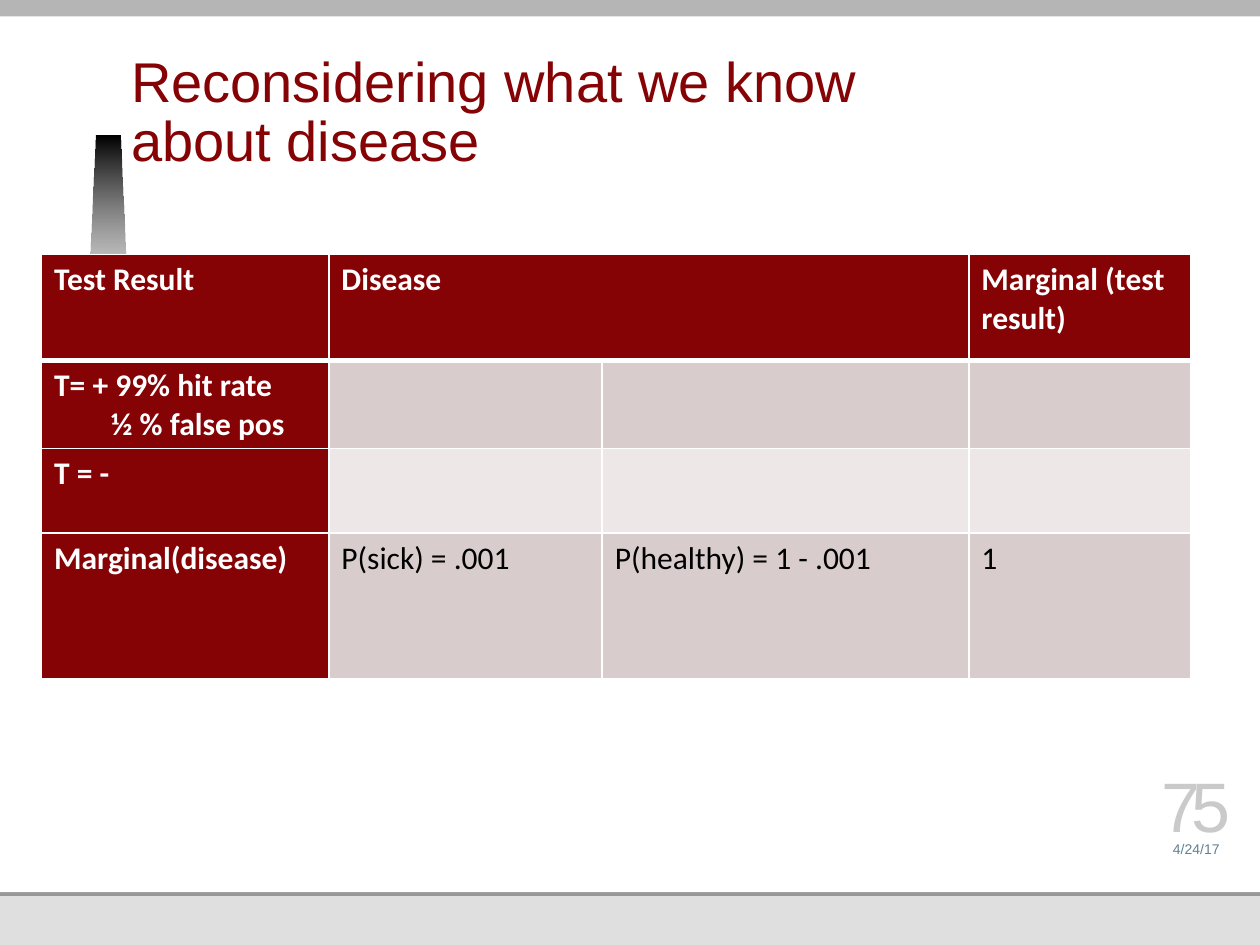
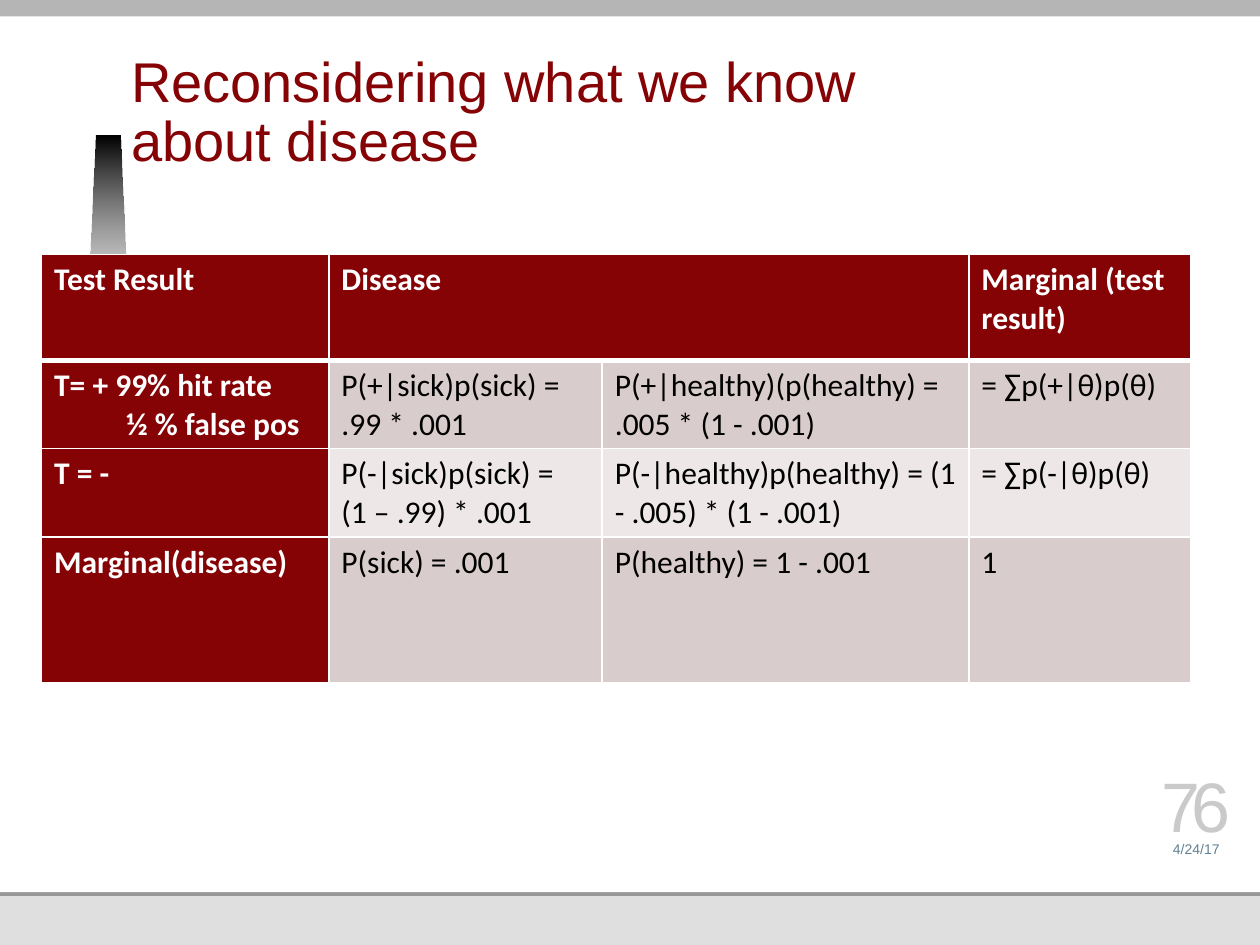
from lxml import etree
from pptx import Presentation
from pptx.dml.color import RGBColor
from pptx.enum import shapes, text
from pptx.oxml import ns
from pptx.util import Inches, Pt

MAROON = RGBColor(0x85, 0x02, 0x05)
ROSE = RGBColor(0xD9, 0xCC, 0xCC)
PALE_ROSE = RGBColor(0xED, 0xE7, 0xE7)
WHITE = RGBColor(0xFF, 0xFF, 0xFF)
BLACK = RGBColor(0, 0, 0)
FOOTER_GRAY = RGBColor(0xDF, 0xDF, 0xDF)
RULE_GRAY = RGBColor(0x98, 0x98, 0x98)
BAND_GRAY = RGBColor(0xB5, 0xB5, 0xB5)
NUMBER_GRAY = RGBColor(0xCA, 0xCA, 0xCA)
DATE_BLUE = RGBColor(0x61, 0x80, 0x91)

TITLE = "Reconsidering what we know about disease"
DATE = "4/24/17"
HEADER = ["Test Result", "Disease", "", "Marginal (test result)"]
MARGINAL = ["Marginal(disease)", "P(sick) = .001", "P(healthy) = 1 - .001", "1"]
SLIDES = [
    {
        "number": "75",
        "second_line_indent": 0.45,
        "rows": [
            ["T= + 99% hit rate\n½ % false pos", "", "", ""],
            ["T = -", "", "", ""],
        ],
    },
    {
        "number": "76",
        "second_line_indent": 0.57,
        "rows": [
            ["T= + 99% hit rate\n½ % false pos", "P(+|sick)p(sick) = .99 * .001",
             "P(+|healthy)(p(healthy) = .005 * (1 - .001)", "= ∑p(+|θ)p(θ)"],
            ["T = -", "P(-|sick)p(sick) =\n(1 – .99) * .001",
             "P(-|healthy)p(healthy) = (1 - .005) * (1 - .001)", "= ∑p(-|θ)p(θ)"],
        ],
    },
]

BANDS = [
    (0, 7.5, FOOTER_GRAY),
    (0, 7.11, RULE_GRAY),
    (0, 7.08, WHITE),
    (0, 0.13, BAND_GRAY),
]
WEDGE = [(0.67, 3.05), (0.76, 1.08), (0.95, 1.08), (1.04, 3.05)]
COLUMN_WIDTHS = [2.28, 2.17, 2.91, 1.76]
ROW_HEIGHTS = [0.84, 0.67, 0.67, 1.16]


def add_run(paragraph, content, size, font_name, color, bold=False):
    run = paragraph.add_run()
    run.text = content
    font = run.font
    font.size, font.name, font.bold = Pt(size), font_name, bold
    font.color.rgb = color
    return run


def add_band(slide, top, height, color):
    band = slide.shapes.add_shape(shapes.MSO_SHAPE.RECTANGLE, 0, Inches(top), Inches(10), Inches(height))
    band.shadow.inherit = False
    band.fill.solid()
    band.fill.fore_color.rgb = color
    band.line.fill.background()


def add_wedge(slide):
    points = [(Inches(x), Inches(y)) for x, y in WEDGE]
    builder = slide.shapes.build_freeform(*points[0])
    builder.add_line_segments(points[1:], close=True)
    wedge = builder.convert_to_shape()
    wedge.shadow.inherit = False
    wedge.line.fill.background()
    wedge.fill.gradient()
    wedge.fill.gradient_angle = 270
    for stop, position, color in zip(wedge.fill.gradient_stops, (0, 1), (BLACK, WHITE)):
        stop.position = position
        stop.color.rgb = color
    fading_color = wedge.element.findall(".//" + ns.qn("a:srgbClr"))[-1]
    etree.SubElement(fading_color, ns.qn("a:alpha"), val="0")


def add_label(slide, box, content, size, color, align=text.PP_ALIGN.CENTER, bottom_inset=0):
    label = slide.shapes.add_textbox(*map(Inches, box))
    frame = label.text_frame
    frame.word_wrap = True
    frame.vertical_anchor = text.MSO_ANCHOR.BOTTOM
    frame.margin_left = frame.margin_right = frame.margin_top = 0
    frame.margin_bottom = Inches(bottom_inset)
    paragraph = frame.paragraphs[0]
    paragraph.alignment = align
    return paragraph, add_run(paragraph, content, size, "Arial", color)


def set_borders(cell, row):
    widths = {"lnL": 1, "lnR": 1, "lnT": 3 if row == 1 else 1, "lnB": 3 if row == 0 else 1}
    properties = cell._tc.get_or_add_tcPr()
    for side, width in widths.items():
        line = etree.SubElement(properties, ns.qn("a:" + side), w=str(Pt(width)))
        fill = etree.SubElement(line, ns.qn("a:solidFill"))
        etree.SubElement(fill, ns.qn("a:srgbClr"), val=str(WHITE))


def fill_cell(cell, content, row, column, second_line_indent):
    heading = row == 0 or column == 0
    set_borders(cell, row)
    cell.fill.solid()
    cell.fill.fore_color.rgb = MAROON if heading else ROSE if row % 2 else PALE_ROSE
    for index, line in enumerate(content.split("\n")):
        paragraph = cell.text_frame.paragraphs[0] if index == 0 else cell.text_frame.add_paragraph()
        if index and heading:
            paragraph._p.get_or_add_pPr().set("marL", str(Inches(second_line_indent)))
        if line:
            add_run(paragraph, line, 18, "Calibri", WHITE if heading else BLACK, heading)


def add_probability_table(slide, rows, second_line_indent):
    frame = slide.shapes.add_table(
        len(ROW_HEIGHTS), len(COLUMN_WIDTHS), Inches(0.33), Inches(2.02),
        Inches(sum(COLUMN_WIDTHS)), Inches(sum(ROW_HEIGHTS)))
    table = frame.table
    table.horz_banding = False
    for column, width in zip(table.columns, COLUMN_WIDTHS):
        column.width = Inches(width)
    for row, height in zip(table.rows, ROW_HEIGHTS):
        row.height = Inches(height)
    for row, contents in enumerate([HEADER, *rows, MARGINAL]):
        for column, content in enumerate(contents):
            fill_cell(table.cell(row, column), content, row, column, second_line_indent)
    table.cell(0, 1).merge(table.cell(0, 2))


def build_slide(presentation, content):
    slide = presentation.slides.add_slide(presentation.slide_layouts[6])
    for band in BANDS:
        add_band(slide, *band)
    add_wedge(slide)
    paragraph, _ = add_label(slide, (1.04, 0.34, 6.87, 1.08), TITLE, 32, MAROON,
                             text.PP_ALIGN.LEFT, 0.05)
    paragraph.line_spacing = Pt(34)
    add_probability_table(slide, content["rows"], content["second_line_indent"])
    add_label(slide, (9.13, 6.58, 0.73, 0.22), DATE, 8, DATE_BLUE)
    _, number = add_label(slide, (9.13, 6.16, 0.73, 0.56), content["number"], 40, NUMBER_GRAY)
    number.font._element.set("spc", "-500")


def main():
    presentation = Presentation()
    presentation.slide_width, presentation.slide_height = Inches(10), Inches(7.5)
    for content in SLIDES:
        build_slide(presentation, content)
    presentation.save("out.pptx")


if __name__ == "__main__":
    main()
